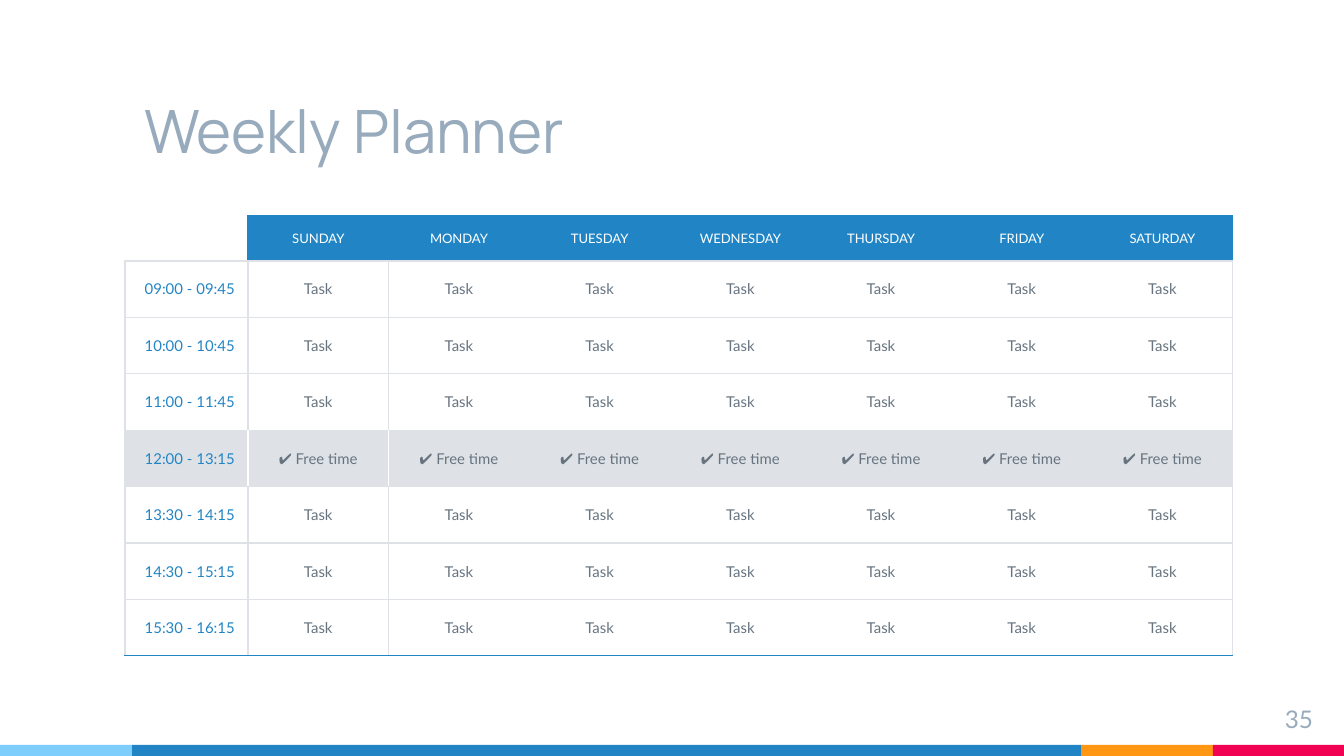
from lxml.etree import SubElement
from pptx import Presentation
from pptx.dml.color import RGBColor
from pptx.enum.shapes import MSO_SHAPE
from pptx.enum.text import MSO_ANCHOR, MSO_AUTO_SIZE, PP_ALIGN
from pptx.oxml.ns import qn
from pptx.util import Emu, Pt

PX = 9144000 / 1344
INSET = 13
COLORS = {
    "blue": "2185C5", "sky": "7ECEFD", "orange": "FF9715", "red": "F20253",
    "title": "97ABBC", "text": "677480", "line": "DEE2E6", "white": "FFFFFF",
}
DAYS = ["SUNDAY", "MONDAY", "TUESDAY", "WEDNESDAY", "THURSDAY", "FRIDAY", "SATURDAY"]
TIMES = ["09:00 - 09:45", "10:00 - 10:45", "11:00 - 11:45", "12:00 - 13:15",
         "13:30 - 14:15", "14:30 - 15:15", "15:30 - 16:15"]
BREAK_TIME = "12:00 - 13:15"
NO_STYLE = "{2D5ABB26-0587-4C30-8999-92F81FD0307C}"


def px(length):
    return Emu(round(length * PX))


def color(name):
    return RGBColor.from_string(COLORS[name])


def write(frame, text, *, size, ink, font="Lato", align=PP_ALIGN.LEFT):
    paragraph = frame.paragraphs[0]
    paragraph.alignment = align
    run = paragraph.add_run()
    run.text = text
    run.font.size = Pt(size)
    run.font.name = font
    run.font.color.rgb = color(ink)


def set_insets(target, inset):
    target.margin_left = target.margin_right = px(inset)
    target.margin_top = target.margin_bottom = px(inset)


def set_borders(cell, borders):
    """Draw the given sides, in the order the cell properties require."""
    properties = cell._tc.get_or_add_tcPr()
    for side in "LRTB":
        if side in borders:
            line = SubElement(properties, qn(f"a:ln{side}"), w=str(Pt(0.75)))
            fill = SubElement(line, qn("a:solidFill"))
            SubElement(fill, qn("a:srgbClr"), val=COLORS[borders[side]])


def format_cell(cell, text, borders, fill=None, **style):
    cell.vertical_anchor = MSO_ANCHOR.MIDDLE
    set_insets(cell, INSET if text else 0)
    set_borders(cell, borders)
    if fill:
        cell.fill.solid()
        cell.fill.fore_color.rgb = color(fill)
    else:
        cell.fill.background()
    if text:
        write(cell.text_frame, text, **style)


def add_color_bar(slide, left, top, width, height):
    side = 132
    bands = [("sky", side), ("blue", width - 3 * side + 1),
             ("orange", side), ("red", side - 1)]
    for name, band_width in bands:
        band = slide.shapes.add_shape(
            MSO_SHAPE.RECTANGLE, px(left), px(top), px(band_width), px(height))
        band.shadow.inherit = False
        band.fill.solid()
        band.fill.fore_color.rgb = color(name)
        band.line.fill.background()
        left += band_width


def add_title(slide, left, top, width, height):
    title = slide.shapes.title
    title.left, title.top, title.width, title.height = map(px, (left, top, width, height))
    frame = title.text_frame
    frame.auto_size = MSO_AUTO_SIZE.NONE
    frame.vertical_anchor = MSO_ANCHOR.BOTTOM
    set_insets(frame, INSET)
    write(frame, "Weekly Planner", size=32, ink="title", font="Manrope")


def add_page_number(slide, left, top, width, height):
    box = slide.shapes.add_textbox(*map(px, (left, top, width, height)))
    box.text_frame.word_wrap = True
    set_insets(box.text_frame, INSET)
    write(box.text_frame, "35", size=13, ink="title", align=PP_ALIGN.RIGHT)


def add_planner(slide, left, top, width, height):
    time_width, header_height = 123, 45
    frame = slide.shapes.add_table(
        len(TIMES) + 1, len(DAYS) + 1, *map(px, (left, top, width, height)))
    table = frame.table
    table.first_row = table.horz_banding = False
    table._tbl.tblPr.find(qn("a:tableStyleId")).text = NO_STYLE

    # Equal day columns and time rows share what the headings leave
    for index, column in enumerate(table.columns):
        column.width = px((width - time_width) / len(DAYS) if index else time_width)
    for index, row in enumerate(table.rows):
        row.height = px((height - header_height) / len(TIMES) if index else header_height)

    # Day headings
    format_cell(table.cell(0, 0), "", {"R": "blue", "B": "line"})
    for column, day in enumerate(DAYS, 1):
        borders = {"T": "blue", "B": "line"}
        if column == 1:
            borders["L"] = "blue"
        if column == len(DAYS):
            borders["R"] = "blue"
        format_cell(table.cell(0, column), day, borders, "blue",
                    size=7, ink="white", align=PP_ALIGN.CENTER)

    # Time slots
    for row, time in enumerate(TIMES, 1):
        is_break = time == BREAK_TIME
        fill = "line" if is_break else None
        divider = "white" if is_break else "line"
        edges = {"T": "line", "B": "blue" if row == len(TIMES) else "line"}
        format_cell(table.cell(row, 0), time, edges | {"L": "line", "R": divider}, fill,
                    size=8, ink="blue", align=PP_ALIGN.RIGHT)
        for column in range(1, len(DAYS) + 1):
            borders = dict(edges)
            if column == 1:
                borders["L"] = divider
            if column == len(DAYS):
                borders["R"] = "line"
            format_cell(table.cell(row, column), "✔ Free time" if is_break else "Task",
                        borders, fill, size=8, ink="text", align=PP_ALIGN.CENTER)


def main():
    presentation = Presentation()
    presentation.slide_width, presentation.slide_height = px(1344), px(756)
    slide = presentation.slides.add_slide(presentation.slide_layouts[5])
    add_color_bar(slide, 0, 745, 1344, 11)
    add_title(slide, 131, 52, 950, 127)
    add_page_number(slide, 1246, 691, 80, 46)
    add_planner(slide, 125, 216, 1108, 440)
    presentation.save("out.pptx")


if __name__ == "__main__":
    main()
